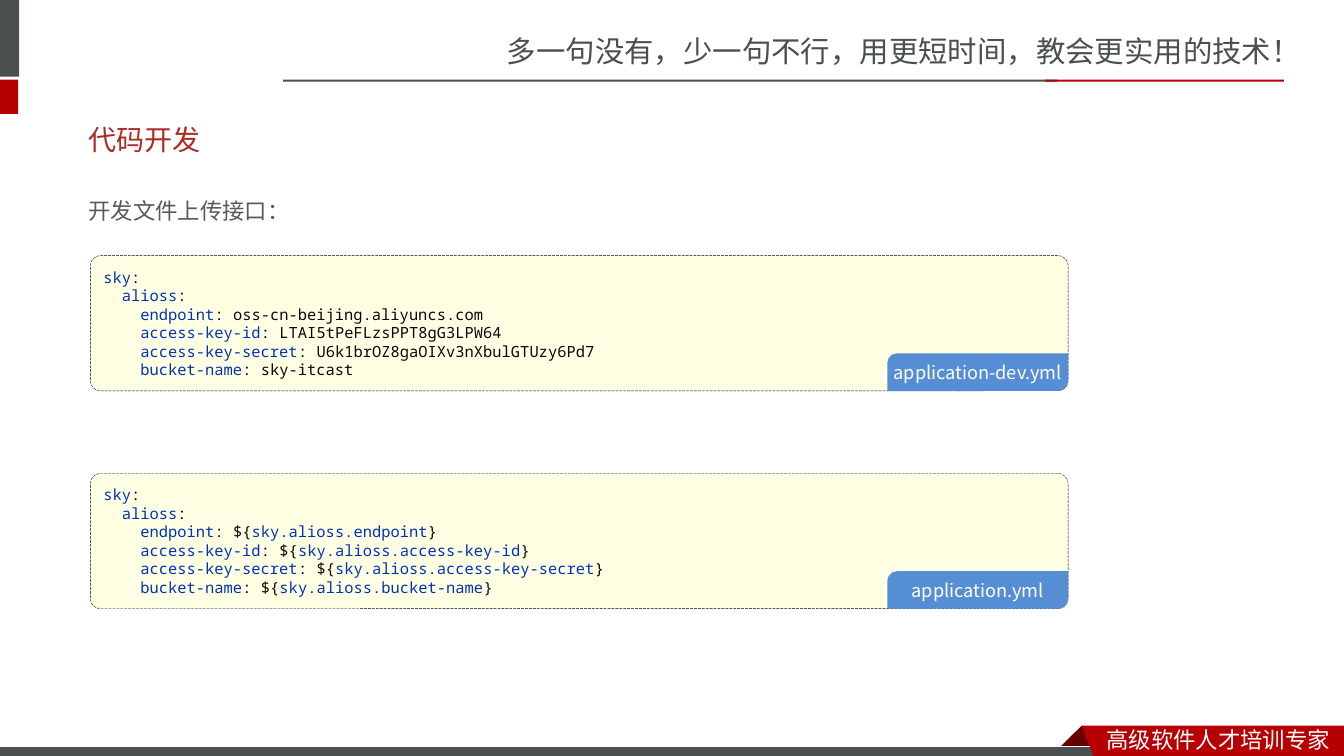
from lxml import etree
from pptx import Presentation
from pptx.dml.color import RGBColor
from pptx.enum.dml import MSO_LINE
from pptx.enum.shapes import MSO_SHAPE
from pptx.enum.text import MSO_ANCHOR, PP_ALIGN
from pptx.oxml.ns import qn
from pptx.util import Pt

RECT, CARD, TAB = MSO_SHAPE.RECTANGLE, MSO_SHAPE.ROUNDED_RECTANGLE, MSO_SHAPE.ROUND_2_DIAG_RECTANGLE
LONG_DASH = MSO_LINE.LONG_DASH
TOP, MIDDLE = MSO_ANCHOR.TOP, MSO_ANCHOR.MIDDLE
LEFT, CENTER = PP_ALIGN.LEFT, PP_ALIGN.CENTER

GREY, RED, DARK_RED, WHITE = "49504F", "B60004", "680000", "FFFFFF"
KEY_BLUE, CODE_BLACK = "0033B3", "080808"
CJK_SC, CJK_JP, MONO = "Noto Sans CJK SC", "Noto Sans CJK JP", "Noto Sans Mono"

# text, box, size, font, colour, anchor, line spacing
TEXTS = [
    ("多一句没有，少一句不行，用更短时间，教会更实用的技术！",
     (355, 20.2, 605.5, 33.8), 21, CJK_SC, GREY, TOP, 1),
    ("高级软件人才培训专家", (783.4, 514.8, 176.6, 26.6), 16, CJK_SC, WHITE, TOP, 1),
    ("代码开发", (56.2, 79.2, 842.4, 41), 20, "Lato", "AD2A26", MIDDLE, 1),
    ("开发文件上传接口：", (56.2, 127.4, 728, 33.1), 16, CJK_JP, "595959", TOP, 1.5),
]
BARS = [
    ((-4.3, 0, 18, 54.7), GREY),
    ((-4.3, 56.9, 17.3, 24.5), RED),
    ((202.3, 56.9, 553, 1.4), GREY),
    ((746.6, 56.9, 170.6, 1.4), RED),
]
FOOTER_BAR = (-0.7, 533.5, 792, 8.6)
RIBBON_FOLD = [(772.6, 518.4), (788.4, 534.2), (787.7, 535), (757.4, 535), (756.7, 534.2)]
RIBBON = [(772.6, 518.4), (960, 518.4), (960, 542.9), (781.9, 542.2)]
CONFIG_FILES = [
    ("application-dev.yml", [
        "sky:",
        "  alioss:",
        "    endpoint: oss-cn-beijing.aliyuncs.com",
        "    access-key-id: LTAI5tPeFLzsPPT8gG3LPW64",
        "    access-key-secret: U6k1brOZ8gaOIXv3nXbulGTUzy6Pd7",
        "    bucket-name: sky-itcast",
    ]),
    ("application.yml", [
        "sky:",
        "  alioss:",
        "    endpoint: ${sky.alioss.endpoint}",
        "    access-key-id: ${sky.alioss.access-key-id}",
        "    access-key-secret: ${sky.alioss.access-key-secret}",
        "    bucket-name: ${sky.alioss.bucket-name}",
    ]),
]
CARD_LEFT, CARD_TOP, CARD_STEP = 64.6, 182.6, 155.6
CARD_WIDTH, CARD_HEIGHT = 698.4, 96.6
TAB_WIDTH, TAB_HEIGHT = 129.2, 26.8


def rgb(code):
    return RGBColor.from_string(code)


def paint(shape, fill, line=None, width=0.75, dash=None):
    shape.shadow.inherit = False
    shape.fill.solid()
    shape.fill.fore_color.rgb = rgb(fill)
    if line:
        shape.line.color.rgb = rgb(line)
        shape.line.width = Pt(width)
        if dash:
            shape.line.dash_style = dash
    else:
        shape.line.fill.background()
    return shape


def add_block(kind, box, **look):
    return paint(slide.shapes.add_shape(kind, *map(Pt, box)), **look)


def add_outline(points, fill):
    corners = [(Pt(x), Pt(y)) for x, y in points]
    builder = slide.shapes.build_freeform(*corners[0], scale=1.0)
    builder.add_line_segments(corners[1:], close=True)
    paint(builder.convert_to_shape(), fill)


def write(frame, lines, size, font, anchor=TOP, align=LEFT, spacing=1, inset=None):
    """Write one paragraph per line; a line is a list of (text, colour) pairs."""
    frame.word_wrap = True
    frame.vertical_anchor = anchor
    if inset is not None:
        for side in ("left", "top", "right", "bottom"):
            setattr(frame, "margin_" + side, Pt(inset))
    for number, line in enumerate(lines):
        paragraph = frame.add_paragraph() if number else frame.paragraphs[0]
        paragraph.alignment = align
        paragraph.line_spacing = spacing
        for text, colour in line:
            run = paragraph.add_run()
            run.text = text
            run.font.size = Pt(size)
            run.font.color.rgb = rgb(colour)
            run.font.name = font
            etree.SubElement(run.font._element, qn("a:ea")).set("typeface", font)


def highlight(line):
    """Split a YAML line into blue names and black punctuation and values."""
    key, rest = line.split(":", 1)
    value, mark, reference = rest.partition("${")
    parts = [(key, KEY_BLUE), (":" + value + mark, CODE_BLACK)]
    if mark:
        parts += [(reference.rstrip("}"), KEY_BLUE), ("}", CODE_BLACK)]
    return parts


deck = Presentation()
deck.slide_width, deck.slide_height = Pt(960), Pt(540)
slide = deck.slides.add_slide(deck.slide_layouts[6])

for box, colour in BARS:
    add_block(RECT, box, fill=colour)
add_outline(RIBBON_FOLD, DARK_RED)
add_block(RECT, FOOTER_BAR, fill=GREY, line=WHITE)
add_outline(RIBBON, RED)

for text, box, size, font, colour, anchor, spacing in TEXTS:
    frame = slide.shapes.add_textbox(*map(Pt, box)).text_frame
    write(frame, [[(text, colour)]], size, font, anchor, spacing=spacing)

for index, (file_name, code) in enumerate(CONFIG_FILES):
    top = CARD_TOP + index * CARD_STEP
    card = add_block(CARD, (CARD_LEFT, top, CARD_WIDTH, CARD_HEIGHT),
                     fill="FFFFE4", line="000000", width=0.25, dash=LONG_DASH)
    card.adjustments[0] = 0.076
    write(card.text_frame, [highlight(line) for line in code], 11, MONO, MIDDLE)

    tab = add_block(TAB, (CARD_LEFT + CARD_WIDTH - TAB_WIDTH, top + CARD_HEIGHT - TAB_HEIGHT,
                          TAB_WIDTH, TAB_HEIGHT), fill="558ED5")
    tab.adjustments[0], tab.adjustments[1] = 0.257, 0
    write(tab.text_frame, [[(file_name, WHITE)]], 13, CJK_JP, MIDDLE, CENTER, inset=0)

deck.save("out.pptx")
